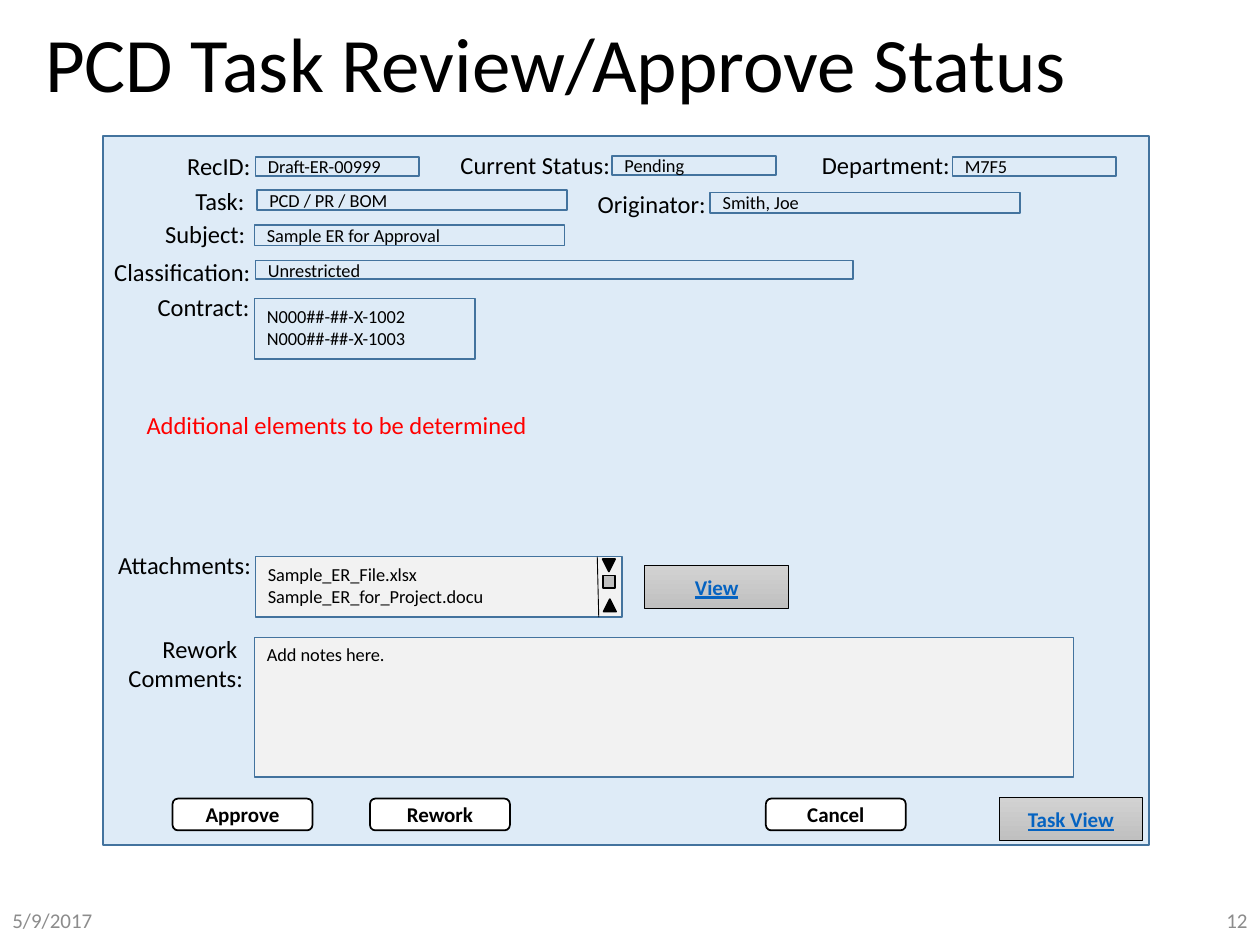
from pptx import Presentation
from pptx.dml.color import RGBColor
from pptx.enum.shapes import MSO_CONNECTOR, MSO_SHAPE
from pptx.enum.text import MSO_ANCHOR, PP_ALIGN
from pptx.oxml.ns import qn
from pptx.util import Cm, Pt
from lxml import etree

LEFT, CENTER, RIGHT = PP_ALIGN.LEFT, PP_ALIGN.CENTER, PP_ALIGN.RIGHT
TOP, MIDDLE = MSO_ANCHOR.TOP, MSO_ANCHOR.MIDDLE
RECT, ROUNDED = MSO_SHAPE.RECTANGLE, MSO_SHAPE.ROUNDED_RECTANGLE
PROCESS, TRIANGLE = MSO_SHAPE.FLOWCHART_PROCESS, MSO_SHAPE.ISOSCELES_TRIANGLE
ACTION = MSO_SHAPE.ACTION_BUTTON_CUSTOM
STRAIGHT = MSO_CONNECTOR.STRAIGHT

FONT = "Calibri"
BLACK = RGBColor(0x00, 0x00, 0x00)
WHITE = RGBColor(0xFF, 0xFF, 0xFF)
RED = RGBColor(0xFF, 0x00, 0x00)
PANEL_BLUE = RGBColor(0xDE, 0xEB, 0xF7)
BORDER_BLUE = RGBColor(0x43, 0x73, 0x9E)
LINK_BLUE = RGBColor(0x05, 0x63, 0xC1)
INPUT_GRAY = RGBColor(0xF2, 0xF2, 0xF2)
THUMB_GRAY = RGBColor(0xBF, 0xBF, 0xBF)
FOOTER_GRAY = RGBColor(0x8C, 0x8C, 0x8C)
BUTTON_LIGHT = RGBColor(0xD2, 0xD2, 0xD2)
BUTTON_DARK = RGBColor(0xC0, 0xC0, 0xC0)

# All lengths are in centimetres
PAGE_W, PAGE_H = 25.4, 19.05
PANEL = (2.08, 2.74, 21.08, 14.3)
LABEL_H = 0.86

# Label, its left, top, width and wrapping; value, its left, top, width, height
FIELDS = [
    ("RecID:", 1.19, 0.18, 2.03, True, "Draft-ER-00999", 3.07, 0.43, 3.3, 0.38),
    ("Current Status:", 6.91, 0.15, 3.56, False, "Pending", 10.26, 0.41, 3.3, 0.38),
    ("Department:", 14.2, 0.15, 3.12, False, "M7F5", 17.12, 0.43, 3.3, 0.38),
    ("Task: ", 0.97, 0.89, 2.24, True, "PCD / PR / BOM", 3.1, 1.09, 6.25, 0.41),
    ("Originator: ", 9.68, 0.94, 2.72, True, "Smith, Joe", 12.24, 1.14, 6.25, 0.41),
    ("Subject: ", 0.99, 1.55, 2.24, True, "Sample ER for Approval", 3.05, 1.8, 6.25, 0.41),
    ("Classification:", -0.08, 2.31, 3.3, False, "Unrestricted", 3.07, 2.51, 12.04, 0.38),
]
# Multi-line inputs: as above, with the fill last
AREAS = [
    ("Contract:", 0.84, 3.02, 2.36, True,
     "N000##-##-X-1002\nN000##-##-X-1003", 3.05, 3.28, 4.45, 1.22, PANEL_BLUE),
    ("Attachments:", 0, 8.23, 3.23, True,
     "Sample_ER_File.xlsx\nSample_ER_for_Project.docu", 3.07, 8.48, 7.39, 1.22, INPUT_GRAY),
    ("Rework \nComments:", 0, 9.91, 3.07, True,
     "Add notes here.", 3.05, 10.11, 16.51, 2.82, INPUT_GRAY),
]
BUTTONS = [("Approve", 1.4), ("Rework", 5.38), ("Cancel", 13.36)]
LINK_BUTTONS = [("View", 10.92, 8.66), ("Task View", 18.06, 13.34)]


def write(shape, text, size, color=BLACK, align=LEFT, anchor=TOP, bold=False,
          underline=False, wrap=True):
    frame = shape.text_frame
    frame.text = text
    frame.word_wrap = wrap
    frame.vertical_anchor = anchor
    for para in frame.paragraphs:
        para.alignment = align
        for span in para.runs:
            font = span.font
            font.name, font.size, font.color.rgb = FONT, Pt(size), color
            font.bold, font.underline = bold, underline


def add_text(page, box, text, size, **style):
    shape = page.shapes.add_textbox(*map(Cm, box))
    write(shape, text, size, **style)
    return shape


def add_box(page, box, fill, line, kind=RECT, width=1):
    shape = page.shapes.add_shape(kind, *map(Cm, box))
    shape.shadow.inherit = False
    if fill is not None:
        shape.fill.solid()
        shape.fill.fore_color.rgb = fill
    shape.line.color.rgb = line
    shape.line.width = Pt(width)
    return shape


def add_field(page, left, top, field, fill=PANEL_BLUE, anchor=MIDDLE):
    label, label_x, label_y, label_w, wrap, value, x, y, width, height = field
    label_h = 1.45 if "\n" in label else LABEL_H
    add_text(page, (left + label_x, top + label_y, label_w, label_h), label, 14,
             align=RIGHT, wrap=wrap)
    entry = add_box(page, (left + x, top + y, width, height), fill, BORDER_BLUE)
    write(entry, value, 10.5, anchor=anchor)


def add_scrollbar(page, left, top, height):
    divider = page.shapes.add_connector(
        STRAIGHT, Cm(left), Cm(top), Cm(left + 0.03), Cm(top + height))
    divider.line.color.rgb = BLACK
    divider.line.width = Pt(0.5)
    etree.SubElement(divider._element.spPr, qn("a:effectLst"))
    size = 0.25
    add_box(page, (left + 0.13, top + 0.86, size, size), BLACK, BLACK, TRIANGLE)
    down = add_box(page, (left + 0.11, top + 0.05, size, size), BLACK, BLACK, TRIANGLE)
    down.rotation = 180
    add_box(page, (left + 0.11, top + 0.38, size, size), THUMB_GRAY, BLACK, PROCESS)


def add_link_button(page, left, top, caption):
    button = add_box(page, (left, top, 2.9, 0.86), None, BLACK, ACTION, 0.5)
    button.fill.gradient()
    button.fill.gradient_angle = 270
    for stop, color in zip(button.fill.gradient_stops, (BUTTON_LIGHT, BUTTON_DARK)):
        stop.color.rgb = color
    write(button, caption, 12, LINK_BLUE, CENTER, MIDDLE, bold=True, underline=True)


def add_form(page, box):
    left, top = box[:2]
    add_box(page, box, PANEL_BLUE, BORDER_BLUE)
    # Inputs
    for field in FIELDS:
        add_field(page, left, top, field)
    for *field, fill in AREAS:
        add_field(page, left, top, field, fill, TOP)
    add_scrollbar(page, left + 9.96, top + 8.48, 1.22)
    add_text(page, (left + 0.58, top + 5.41, 8.26, LABEL_H),
             "Additional elements to be determined", 14, color=RED,
             align=CENTER, wrap=False)
    # Buttons
    for caption, x in BUTTONS:
        button = add_box(page, (left + x, top + 13.36, 2.82, 0.64), WHITE, BLACK, ROUNDED)
        write(button, caption, 12, align=CENTER, anchor=MIDDLE, bold=True)
    for caption, x, y in LINK_BUTTONS:
        add_link_button(page, left + x, top + y, caption)


def add_footer(page, box):
    left, top, width, height = box
    part_w = 5.72
    for text, x, align in (("5/9/2017", left, LEFT),
                           ("12", left + width - part_w, RIGHT)):
        add_text(page, (x, top, part_w, height), text, 12, color=FOOTER_GRAY,
                 align=align, anchor=MIDDLE)


def main():
    deck = Presentation()
    deck.slide_width, deck.slide_height = Cm(PAGE_W), Cm(PAGE_H)
    page = deck.slides.add_slide(deck.slide_layouts[6])
    title = add_text(page, (0.66, 0.25, 21.89, 2.21), "PCD Task Review/Approve Status",
                     44, anchor=MIDDLE)
    title.text_frame.paragraphs[0].line_spacing = 0.9
    add_form(page, PANEL)
    add_footer(page, (0, 18.03, PAGE_W, 1.02))
    deck.save("out.pptx")


if __name__ == "__main__":
    main()
